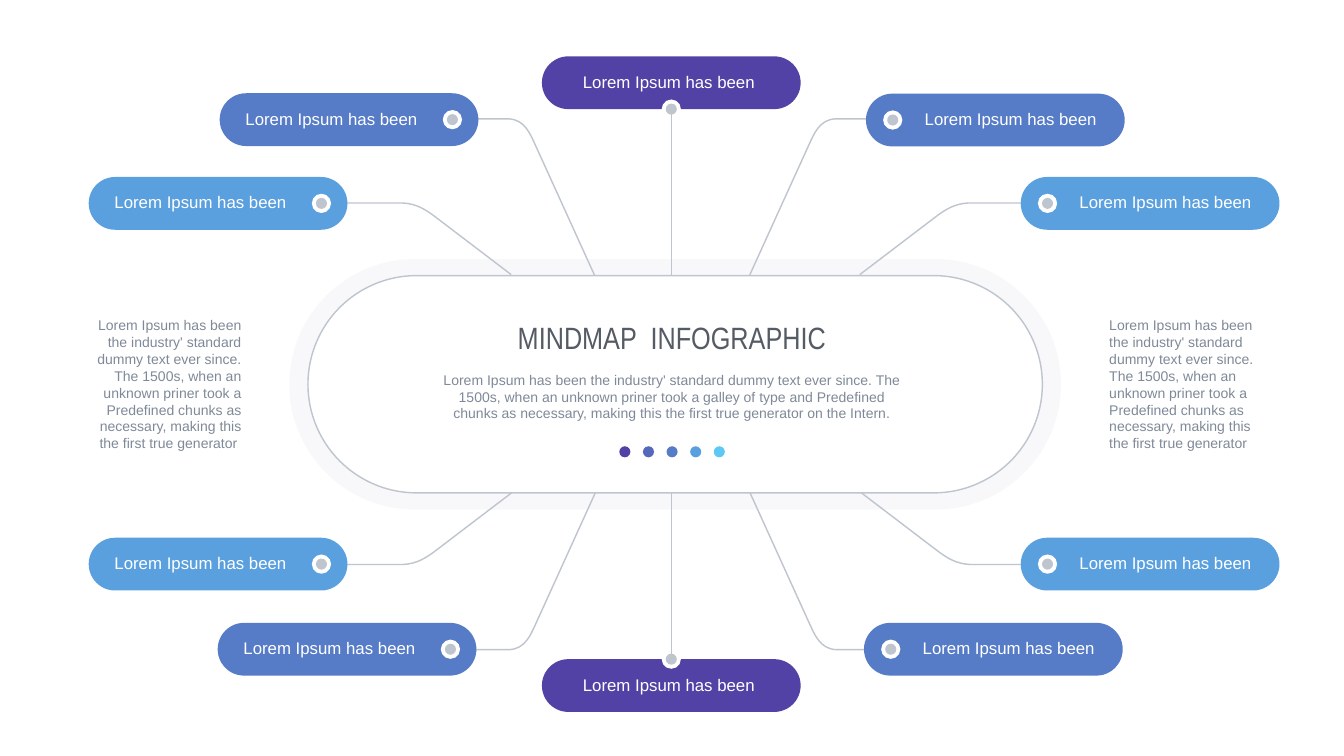
from lxml import etree
from pptx import Presentation
from pptx.dml.color import RGBColor
from pptx.enum.shapes import MSO_SHAPE
from pptx.enum.text import MSO_ANCHOR, MSO_AUTO_SIZE, PP_ALIGN
from pptx.oxml.ns import qn
from pptx.util import Cm, Pt

OVAL = MSO_SHAPE.OVAL
ROUND = MSO_SHAPE.ROUNDED_RECTANGLE
LEFT, MID, RIGHT = PP_ALIGN.LEFT, PP_ALIGN.CENTER, PP_ALIGN.RIGHT
GROW = MSO_AUTO_SIZE.SHAPE_TO_FIT_TEXT
MIDDLE = MSO_ANCHOR.MIDDLE

COLORS = {
    "violet": "5242A5", "indigo": "5568BC", "blue": "567BC7",
    "sky": "5AA0DF", "cyan": "5EC8F5", "white": "FFFFFF",
    "line": "BFC5CE", "halo": "EFF0F5", "title": "555B64", "body": "7F8998",
}
LABEL = "Lorem Ipsum has been"
START = "Lorem Ipsum has been the industry' standard dummy text ever since. The 1500s, when an unknown priner took a "
SIDE = START + "Predefined chunks as necessary, making this the first true generator"
CORE = START + "galley of type and Predefined chunks as necessary, making this the first true generator on the Intern."

PILL_W, PILL_H = 13.04, 2.66
CORE_BOX = (15.52, 13.89, 37.01, 10.95)
HALO_BOX = (14.58, 13.06, 38.89, 12.62)
WIDE = [(0, 0), (3.94, 3), (4.3, 3.25), (4.75, 3.58), (5.49, 3.61), (8.48, 3.61)]
STEEP = [(0, 0), (3, 6.6), (3.25, 7.14), (3.53, 7.87), (4.34, 7.9), (6.4, 7.9)]
LEADS = [
    (25.76, 13.84, -1, -1, WIDE), (43.33, 13.84, 1, -1, WIDE),
    (29.97, 13.89, -1, -1, STEEP), (37.77, 13.89, 1, -1, STEEP),
    (30, 24.84, -1, 1, STEEP), (37.8, 24.84, 1, 1, STEEP),
    (43.41, 24.84, 1, 1, WIDE), (25.78, 24.84, -1, 1, WIDE),
]
PILLS = [
    (4.47, 8.92, "sky", LEFT), (51.44, 8.92, "sky", RIGHT),
    (11.07, 4.7, "blue", LEFT), (43.64, 4.72, "blue", RIGHT),
    (10.97, 31.39, "blue", LEFT), (43.54, 31.39, "blue", RIGHT),
    (4.47, 27.1, "sky", LEFT), (51.44, 27.1, "sky", RIGHT),
]


def capsule(x, y, w, h):
    rad = h / 2
    pull = rad * 0.45
    end, low = x + w, y + h
    return [
        (x + rad, y), (end - rad, y),
        (end - pull, y), (end, y + pull), (end, y + rad),
        (end, low - pull), (end - pull, low), (end - rad, low),
        (x + rad, low),
        (x + pull, low), (x, low - pull), (x, y + rad),
        (x, y + pull), (x + pull, y), (x + rad, y),
    ]


class Canvas:
    def __init__(self, slide):
        self.shapes = slide.shapes
        self.font = {"name": "Arial", "size": Pt(20)}

    def paint(self, shape, fill=None, line=None):
        shape.shadow.inherit = False
        if fill:
            shape.fill.solid()
            shape.fill.fore_color.rgb = RGBColor.from_string(COLORS[fill])
        else:
            shape.fill.background()
        if line:
            shape.line.color.rgb = RGBColor.from_string(COLORS[line])
            shape.line.width = Pt(2)
        else:
            shape.line.fill.background()
        return shape

    def shape(self, kind, box, fill=None, line=None):
        item = self.shapes.add_shape(kind, *map(Cm, box))
        if kind == ROUND:
            item.adjustments[0] = 0.5
        self.paint(item, fill, line)

    def dot(self, x, y, size, fill):
        self.shape(OVAL, (x - size / 2, y - size / 2, size, size), fill)

    def outline(self, loops, bends=(), close=False, fill=None, line=None):
        draft = None
        for loop in loops:
            pts = [(Cm(x), Cm(y)) for x, y in loop]
            if draft is None:
                draft = self.shapes.build_freeform(*pts[0])
            else:
                draft.move_to(*pts[0])
            draft.add_line_segments(pts[1:], close=close)
        item = self.paint(draft.convert_to_shape(), fill, line)
        legs = list(item.element.spPr.iter(qn("a:lnTo")))
        for i in bends:
            curve = etree.Element(qn("a:cubicBezTo"))
            legs[i].addprevious(curve)
            for leg in legs[i:i + 3]:
                curve.append(leg[0])
                leg.getparent().remove(leg)
        return item

    def text(self, box, words, color, align=LEFT, frame=None, font=None):
        body = self.shapes.add_textbox(*map(Cm, box)).text_frame
        for key, val in {"word_wrap": True, "auto_size": GROW, **(frame or {})}.items():
            setattr(body, key, val)
        para = body.paragraphs[0]
        para.alignment = align
        run = para.add_run()
        run.text = words
        for key, val in {**self.font, **(font or {})}.items():
            setattr(run.font, key, val)
        run.font.color.rgb = RGBColor.from_string(COLORS[color])

    def halo(self):
        loops = [capsule(*HALO_BOX), capsule(*CORE_BOX)[::-1]]
        ring = self.outline(loops, (1, 4, 8, 11, 14, 17, 21, 24), True, "halo")
        tint = next(ring.element.spPr.iter(qn("a:srgbClr")))
        etree.SubElement(tint, qn("a:alpha")).set("val", "41000")

    def lead(self, x, y, across, down, route):
        pts = [(x + across * dx, y + down * dy) for dx, dy in route]
        self.outline([pts], (1,), line="line")

    def stem(self, x, y, size):
        pts = [(x - size / 2, y), (x + size / 2, y)]
        self.outline([pts], line="line").rotation = 90

    def pill(self, x, y, fill, dot):
        self.shape(ROUND, (x, y, PILL_W, PILL_H), fill)
        for size, color in ((0.97, "white"), (0.56, "line")):
            self.dot(x + dot[0], y + dot[1], size, color)

    def label(self, box, words, align, wrap):
        self.text(box, words, "white", align, {"word_wrap": wrap}, {"size": Pt(24)})


def main():
    deck = Presentation()
    deck.slide_width, deck.slide_height = Cm(67.73), Cm(38.1)
    art = Canvas(deck.slides.add_slide(deck.slide_layouts[6]))

    art.text((55.65, 15.85, 8.43, 7.09), SIDE, "body")
    art.halo()
    art.shape(ROUND, CORE_BOX, line="line")
    inset = {"margin_" + side: Cm(0.15) for side in ("left", "top", "right", "bottom")}
    art.text((19.5, 15.93, 28.73, 2.16), "MINDMAP  INFOGRAPHIC", "title", MID,
             {"vertical_anchor": MIDDLE, **inset},
             {"name": "Arial Narrow", "size": Pt(44)})
    art.text((21.9, 18.59, 23.93, 2.82), CORE, "body", MID)
    for i, color in enumerate(("violet", "indigo", "blue", "sky", "cyan")):
        art.dot(31.49 + 1.19 * i, 22.77, 0.56, color)

    for lead in LEADS:
        art.lead(*lead)
    for x, y, color, side in PILLS:
        dot, gap = (11.73, 1.05) if side == LEFT else (1.35, 2.71)
        art.pill(x, y, color, (dot, PILL_H / 2))
        art.label((x + gap, y + 0.64, 9.5, 1.3), LABEL, LEFT, False)

    for y, edge, stem in ((2.84, PILL_H, 9.65), (33.22, 0, 29.04)):
        art.pill(27.31, y, "violet", (PILL_W / 2, edge))
        art.label((28.12, y + 0.64, 11.4, 1.27), LABEL + " ", MID, True)
        art.stem(33.83, stem, 8.4)

    art.text((3.99, 15.85, 8.43, 7.09), SIDE + " ", "body", RIGHT)
    deck.save("out.pptx")


if __name__ == "__main__":
    main()
